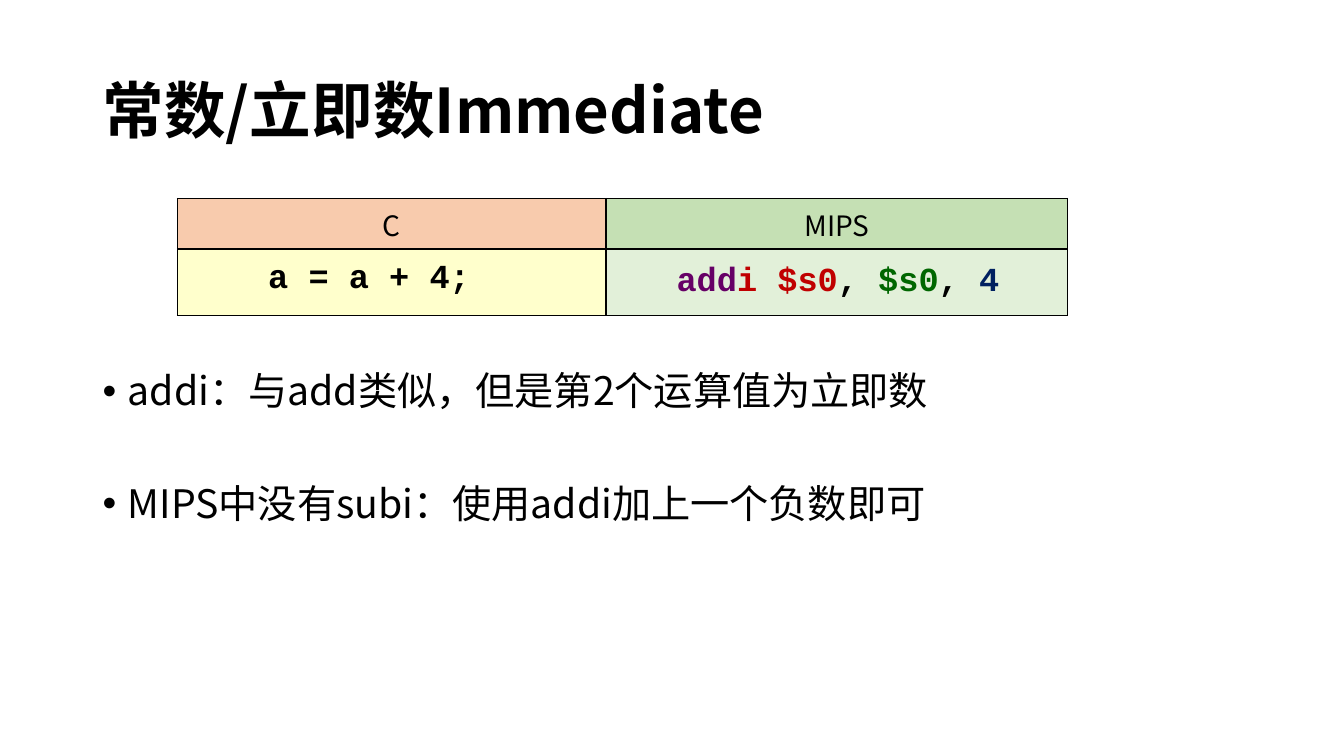
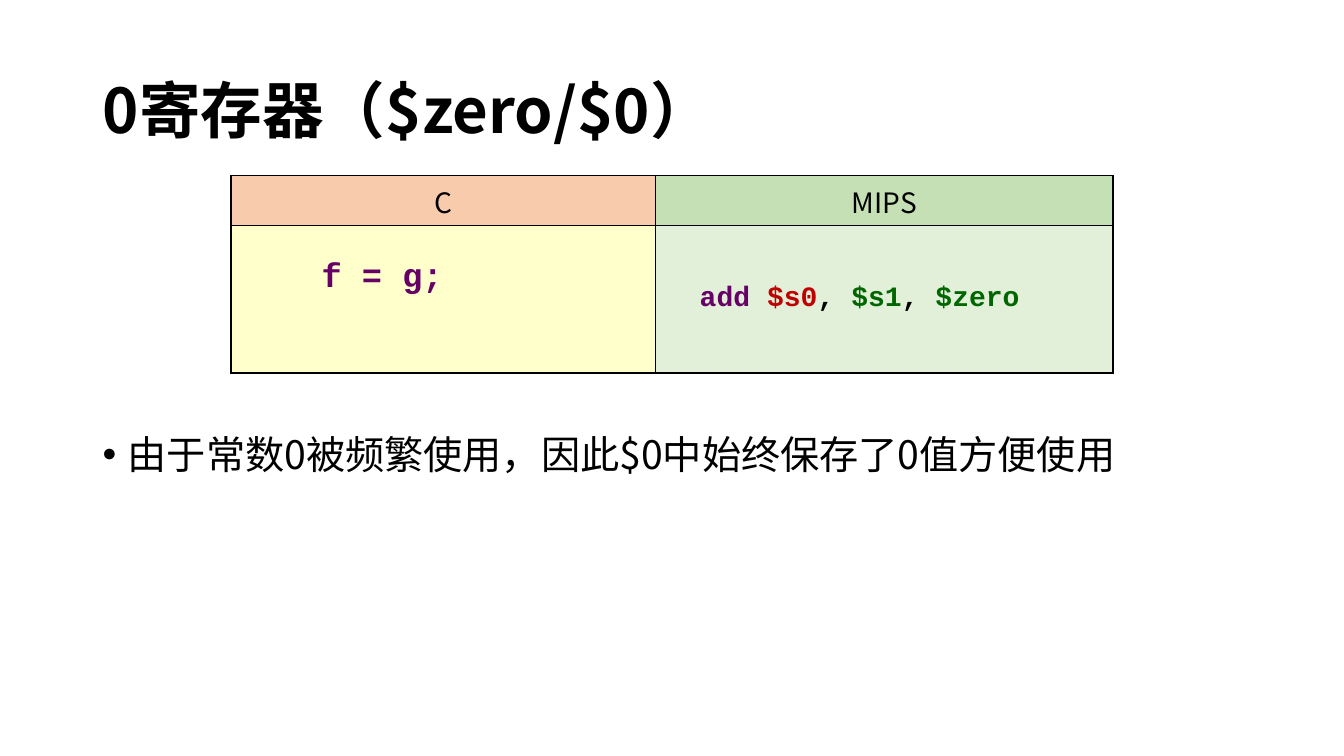
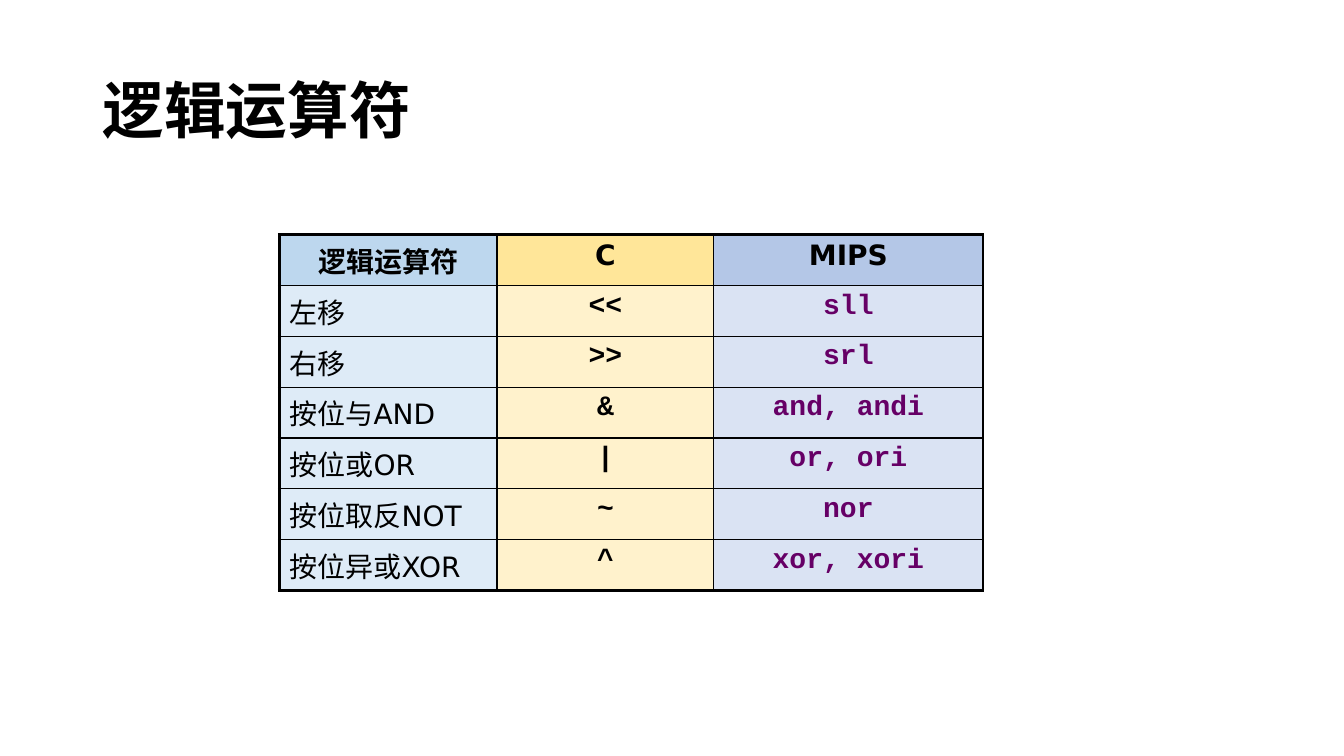
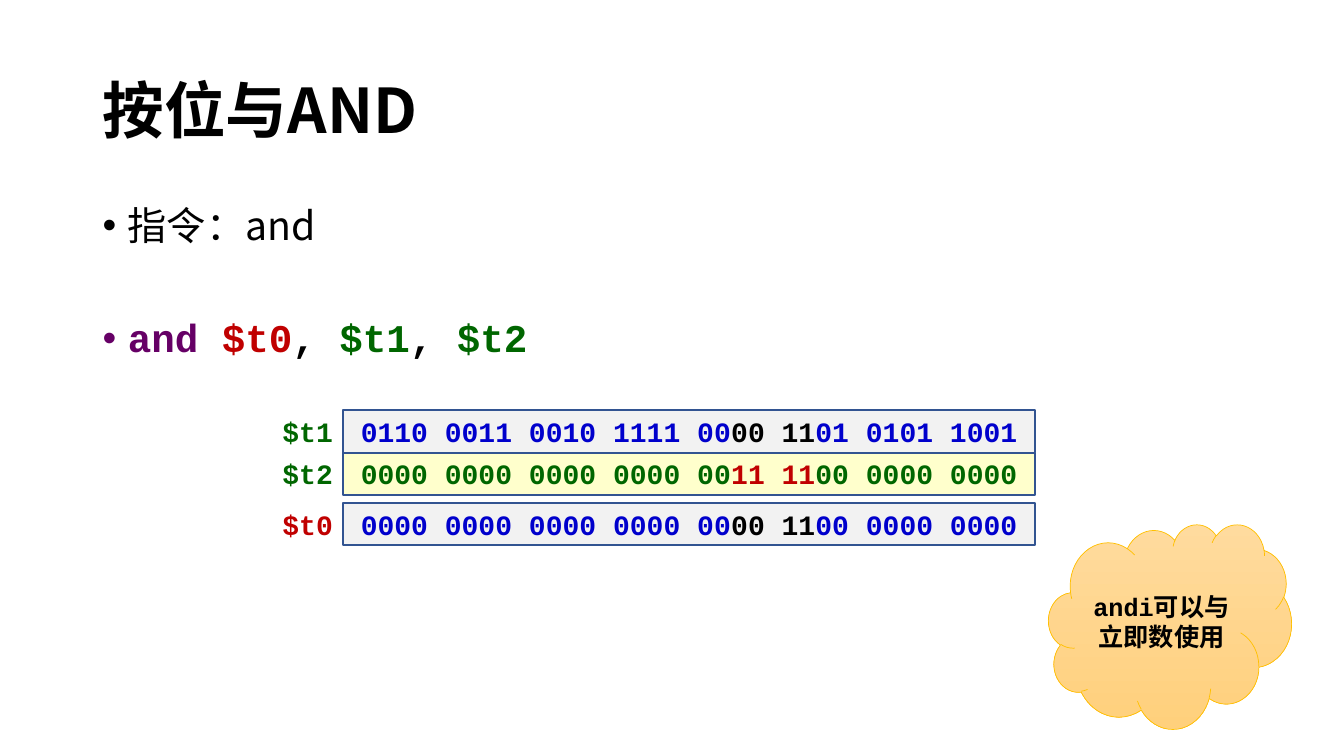
import pptx
import pptx.util
import pptx.dml.color
import pptx.enum.shapes
import pptx.enum.text
import pptx.oxml
import pptx.oxml.ns

Inches, Pt = pptx.util.Inches, pptx.util.Pt
SHAPE = pptx.enum.shapes.MSO_SHAPE
ALIGN = pptx.enum.text.PP_ALIGN
ANCHOR = pptx.enum.text.MSO_ANCHOR

SANS, TABLE_SANS, MONO = "Noto Sans CJK SC", "DejaVu Sans", "Courier New"
BLACK, OPCODE, TARGET, SOURCE, NUMBER, BITS = (
    "000000", "660066", "C00000", "006600", "002060", "0000CC")
THIN, THICK = 1, 2.25
LEFT, WIDTH = 0.92, 11.5
BULLET_GAP = 50

CODE_HEADS = [("C", "F8CBAD"), ("MIPS", "C5E0B4")]
CODE_FILLS = ["FFFFCC", "E2F0D9"]

IMMEDIATE = {
    "title": "常数/立即数Immediate",
    "bullets": ["addi：与add类似，但是第2个运算值为立即数",
                "MIPS中没有subi：使用addi加上一个负数即可"],
    "c": [("a = a + 4;", BLACK)],
    "mips": [("add", OPCODE), ("i $s0", TARGET), (", ", BLACK),
             ("$s0", SOURCE), (", ", BLACK), ("4", NUMBER)],
}
ZERO = {
    "title": "0寄存器（$zero/$0）",
    "bullets": ["由于常数0被频繁使用，因此$0中始终保存了0值方便使用"],
    "c": [("f = g;", OPCODE)],
    "mips": [("add ", OPCODE), ("$s0", TARGET), (", ", BLACK),
             ("$s1", SOURCE), (", ", BLACK), ("$zero", SOURCE)],
}
LOGIC_TITLE = "逻辑运算符"
LOGIC_ROWS = [
    ("逻辑运算符", "C", "MIPS"),
    ("左移", "<<", "sll"),
    ("右移", ">>", "srl"),
    ("按位与AND", "&", "and, andi"),
    ("按位或OR", "|", "or, ori"),
    ("按位取反NOT", "~", "nor"),
    ("按位异或XOR", "^", "xor, xori"),
]
LOGIC_COLS = [2.16, 2.15, 2.67]
LOGIC_HEIGHT = 3.53
LOGIC_HEAD_FILLS = ["BDD7EE", "FFE699", "B4C7E7"]
LOGIC_BODY_FILLS = ["DEEBF7", "FFF2CC", "DAE3F3"]
LOGIC_BODY_FORMATS = [
    dict(font=TABLE_SANS),
    dict(font=MONO, bold=True, align=ALIGN.CENTER),
    dict(font=MONO, bold=True, align=ALIGN.CENTER, color=OPCODE),
]

AND_TITLE = "按位与AND"
AND_COMMAND = "指令：and"
AND_CODE = [("and ", OPCODE), ("$t0", TARGET), (", ", BLACK),
            ("$t1", SOURCE), (", ", BLACK), ("$t2", SOURCE)]
# name, name colour, top, fill, bit colour, mask colour, three groups of bits
REGISTERS = [
    ("$t1", SOURCE, 4.07, "F2F2F2", BITS, BLACK,
     ("0110 0011 0010 1111 00", "00 11", "01 0101 1001")),
    ("$t2", SOURCE, 4.49, "FFFFCC", SOURCE, TARGET,
     ("0000 0000 0000 0000 00", "11 11", "00 0000 0000")),
    ("$t0", TARGET, 4.99, "F2F2F2", BITS, BLACK,
     ("0000 0000 0000 0000 00", "00 11", "00 0000 0000")),
]
CLOUD_TEXT = "andi可以与立即数使用"


def rgb(value):
    return pptx.dml.color.RGBColor.from_string(value)


def xml(markup):
    head, tail = markup.split(" ", 1)
    return pptx.oxml.parse_xml(f"{head} {pptx.oxml.ns.nsdecls('a')} {tail}")


def write(tf, text, size=20, font=SANS, color=BLACK, bold=False,
          align=ALIGN.LEFT, spacing=None, before=None, bullet=False):
    """Add a paragraph; text is a string or a list of (text, colour) runs."""
    p = tf.paragraphs[0] if not tf.text else tf.add_paragraph()
    p.alignment = align
    if spacing is not None:
        p.line_spacing = spacing
    if before is not None:
        p.space_before = Pt(before)
    if bullet:
        pPr = p._p.get_or_add_pPr()
        pPr.set("marL", str(Inches(0.25)))
        pPr.set("indent", str(Inches(-0.25)))
        pPr.append(xml('<a:buFont typeface="Arial"/>'))
        pPr.append(xml('<a:buChar char="•"/>'))
    for run_text, run_color in [(text, color)] if isinstance(text, str) else text:
        r = p.add_run()
        r.text = run_text
        r.font.size, r.font.bold, r.font.name = Pt(size), bold, font
        r.font.color.rgb = rgb(run_color)
        r._r.get_or_add_rPr().find(pptx.oxml.ns.qn("a:latin")).addnext(
            xml(f'<a:ea typeface="{SANS}"/>'))


def text_box(shapes, x, y, w, h, anchor=ANCHOR.TOP):
    tf = shapes.add_textbox(*map(Inches, (x, y, w, h))).text_frame
    tf.word_wrap = True
    tf.vertical_anchor = anchor
    return tf


def add_shape(shapes, kind, x, y, w, h, line, line_width):
    sp = shapes.add_shape(kind, *map(Inches, (x, y, w, h)))
    sp.shadow.inherit = False
    sp.line.color.rgb = rgb(line)
    sp.line.width = Pt(line_width)
    sp.text_frame.word_wrap = True
    sp.text_frame.vertical_anchor = ANCHOR.MIDDLE
    return sp


def new_slide(prs, title):
    s = prs.slides.add_slide(prs.slide_layouts[6])
    tf = text_box(s.shapes, LEFT, 0.4, WIDTH, 1.45, ANCHOR.MIDDLE)
    write(tf, title, size=44, bold=True, spacing=0.9)
    return s


def add_bullets(tf, first, *others, **last_format):
    """Add evenly spaced bullets; the format applies to all but the first."""
    shared = dict(size=28, spacing=0.9, bullet=True)
    write(tf, first, before=10, **shared)
    for text in others:
        write(tf, text, before=BULLET_GAP, **shared, **last_format)


def add_table(s, x, y, cols, rows, outer=THIN):
    """Add a table with thin inner borders and outer borders of a given width."""
    size = Inches(sum(cols)), Inches(sum(rows))
    table = s.shapes.add_table(len(rows), len(cols), Inches(x), Inches(y), *size).table
    table.first_row = table.horz_banding = False
    for column, width in zip(table.columns, cols):
        column.width = Inches(width)
    for row, height in zip(table.rows, rows):
        row.height = Inches(height)
    for i in range(len(rows)):
        for j in range(len(cols)):
            edges = {"L": j == 0, "R": j == len(cols) - 1,
                     "T": i == 0, "B": i == len(rows) - 1}
            tcPr = table.cell(i, j)._tc.get_or_add_tcPr()
            for side, is_outer in edges.items():
                width = Pt(outer if is_outer else THIN)
                tcPr.append(xml(f'<a:ln{side} w="{width}"><a:solidFill>'
                                f'<a:srgbClr val="{BLACK}"/></a:solidFill></a:ln{side}>'))
    return table


def fill_cell(cell, text, fill, **fmt):
    cell.fill.solid()
    cell.fill.fore_color.rgb = rgb(fill)
    write(cell.text_frame, text, **fmt)


def add_code_table(s, content, x, y, cols, rows, mips_size, mips_indent):
    """Add a table with C beside MIPS code and return its C cell."""
    table = add_table(s, x, y, cols, rows)
    for j, (head, fill) in enumerate(CODE_HEADS):
        fill_cell(table.cell(0, j), head, fill, align=ALIGN.CENTER)
    c_cell, mips_cell = table.cell(1, 0), table.cell(1, 1)
    code = dict(font=MONO, bold=True)
    fill_cell(c_cell, content["c"], CODE_FILLS[0], size=24, spacing=Pt(24), **code)
    fill_cell(mips_cell, content["mips"], CODE_FILLS[1], size=mips_size, **code)
    c_cell.margin_left = Inches(0.9)
    mips_cell.margin_left = Inches(0.1 + mips_indent)
    mips_cell.vertical_anchor = ANCHOR.MIDDLE
    return c_cell


def immediate_slide(prs):
    s = new_slide(prs, IMMEDIATE["title"])
    c_cell = add_code_table(s, IMMEDIATE, 1.76, 1.97, [4.25, 4.58], [0.5, 0.66], 24, 0.6)
    c_cell.vertical_anchor = ANCHOR.MIDDLE
    tf = text_box(s.shapes, LEFT, 3.64, WIDTH, 2.05)
    add_bullets(tf, *IMMEDIATE["bullets"])


def zero_slide(prs):
    s = new_slide(prs, ZERO["title"])
    tf = text_box(s.shapes, LEFT, 4.27, WIDTH, 0.71)
    add_bullets(tf, *ZERO["bullets"])
    c_cell = add_code_table(s, ZERO, 2.29, 1.74, [4.21, 4.54], [0.5, 1.46], 20, 0.34)
    c_cell.margin_top = Inches(0.38)


def logic_slide(prs):
    s = new_slide(prs, LOGIC_TITLE)
    count = len(LOGIC_ROWS)
    table = add_table(s, 2.77, 2.33, LOGIC_COLS, [LOGIC_HEIGHT / count] * count, THICK)
    for i, row in enumerate(LOGIC_ROWS):
        for j, text in enumerate(row):
            if i == 0:
                fill_cell(table.cell(i, j), text, LOGIC_HEAD_FILLS[j],
                          font=TABLE_SANS, bold=True, align=ALIGN.CENTER)
            else:
                fill_cell(table.cell(i, j), text, LOGIC_BODY_FILLS[j],
                          **LOGIC_BODY_FORMATS[j])


def and_slide(prs):
    s = new_slide(prs, AND_TITLE)
    code = dict(font=MONO, bold=True)
    tf = text_box(s.shapes, LEFT, 2, WIDTH, 1.84)
    add_bullets(tf, AND_COMMAND, AND_CODE, **code)

    for name, name_color, y, fill, bit_color, mask_color, bits in REGISTERS:
        shapes = s.shapes.add_group_shape().shapes
        sp = add_shape(shapes, SHAPE.RECTANGLE, 3.4, y, 6.87, 0.42, "325491", 1.5)
        sp.fill.solid()
        sp.fill.fore_color.rgb = rgb(fill)
        runs = list(zip(bits, (bit_color, mask_color, bit_color)))
        write(sp.text_frame, runs, align=ALIGN.CENTER, **code)
        label = text_box(shapes, 2.68, y, 0.72, 0.42, ANCHOR.MIDDLE)
        write(label, name, color=name_color, align=ALIGN.RIGHT, **code)

    cloud = add_shape(s.shapes, SHAPE.CLOUD, 10.4, 5.2, 2.41, 2.03, "FFC000", 0.5)
    cloud.fill.gradient()
    cloud.fill.gradient_angle = 270
    for stop, color in zip(cloud.fill.gradient_stops, ("FFDB9E", "FFD07C")):
        stop.color.rgb = rgb(color)
    write(cloud.text_frame, CLOUD_TEXT, size=18, align=ALIGN.CENTER, **code)


def main():
    prs = pptx.Presentation()
    prs.slide_width, prs.slide_height = Inches(13.33), Inches(7.5)
    for build in (immediate_slide, zero_slide, logic_slide, and_slide):
        build(prs)
    prs.save("out.pptx")


if __name__ == "__main__":
    main()
